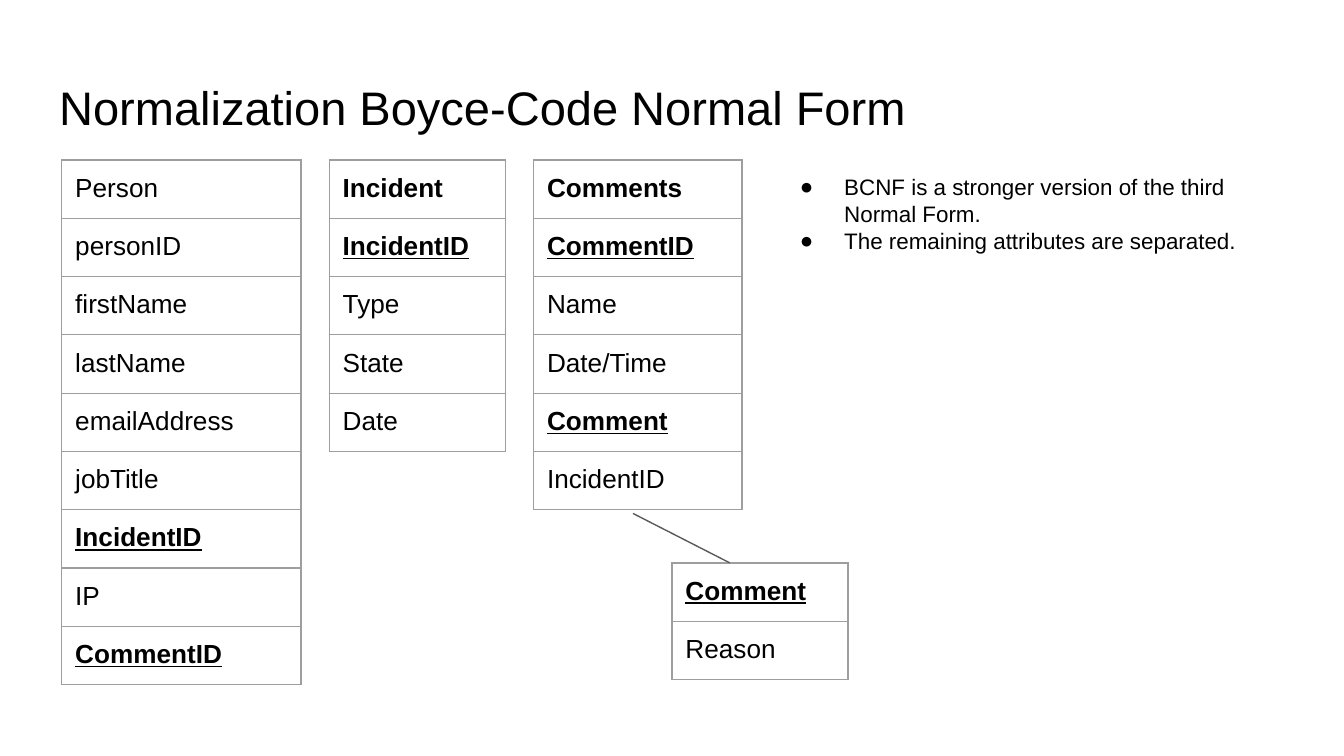
from lxml import etree
from pptx import Presentation
from pptx.dml.color import RGBColor
from pptx.enum.shapes import MSO_CONNECTOR
from pptx.enum.text import MSO_ANCHOR
from pptx.oxml.ns import qn
from pptx.util import Inches, Pt

STRAIGHT = MSO_CONNECTOR.STRAIGHT
TOP = MSO_ANCHOR.TOP
BLACK = RGBColor(0x00, 0x00, 0x00)
BORDER_GRAY = RGBColor(0x9E, 0x9E, 0x9E)
LINK_GRAY = RGBColor(0x59, 0x59, 0x59)
HAIRLINE = Pt(0.75)
INSET = Inches(0.1)

# Widescreen slide, 16:9
deck = Presentation()
deck.slide_width = Inches(10)
deck.slide_height = deck.slide_width * 9 // 16
slide = deck.slides.add_slide(deck.slide_layouts[6])

# Grid: 100 columns across, 13 table rows down
COL = deck.slide_width / 100
ROW = deck.slide_height / 13

FRAME = {"word_wrap": True, "vertical_anchor": TOP, "margin_left": INSET,
         "margin_right": INSET, "margin_top": INSET, "margin_bottom": INSET}


def at(*grid_units):
    """Turn alternating column and row counts into lengths."""
    return [round(n * (ROW if i % 2 else COL)) for i, n in enumerate(grid_units)]


def write(paragraph, text, size, **style):
    run = paragraph.add_run()
    run.text = text
    run.font.color.rgb = BLACK
    for name, value in {"name": "Arial", "size": Pt(size), **style}.items():
        setattr(run.font, name, value)


# Title and remarks on BCNF
TITLE = ["Normalization Boyce-Code Normal Form"]
REMARKS = ["BCNF is a stronger version of the third Normal Form.",
           "The remaining attributes are separated."]
for place, lines, size, bulleted in [
    ((3.41, 1.12, 93.2, 1.46), TITLE, 25.2, False),
    ((56.83, 2.75, 39.8, 4.23), REMARKS, 12, True),
]:
    frame = slide.shapes.add_textbox(*at(*place)).text_frame
    for name, value in FRAME.items():
        setattr(frame, name, value)
    for i, line in enumerate(lines):
        paragraph = frame.add_paragraph() if i else frame.paragraphs[0]
        write(paragraph, line, size)
        if bulleted:
            props = paragraph._p.get_or_add_pPr()
            props.set("marL", str(Inches(0.5)))
            props.set("indent", str(-Inches(0.33)))
            color = etree.SubElement(props, qn("a:buClr"))
            etree.SubElement(color, qn("a:srgbClr"), val=str(BLACK))
            etree.SubElement(props, qn("a:buFont"), typeface="Arial")
            etree.SubElement(props, qn("a:buChar"), char="●")

# Relations: left, top, width in grid units; "*" marks bold, "_" a bold key
RELATIONS = [
    (4.6, 2.75, 17.8, ["Person", "personID", "firstName", "lastName", "emailAddress",
                       "jobTitle", "_IncidentID", "IP", "_CommentID"]),
    (24.5, 2.75, 13.1, ["*Incident", "_IncidentID", "Type", "State", "Date"]),
    (39.7, 2.75, 15.5, ["*Comments", "_CommentID", "Name", "Date/Time",
                        "_Comment", "IncidentID"]),
    (50, 9.68, 13.1, ["_Comment", "Reason"]),
]
CELL = {name: value for name, value in FRAME.items() if name != "word_wrap"}
for left, top, width, attributes in RELATIONS:
    count = len(attributes)
    relation = slide.shapes.add_table(count, 1, *at(left, top, width, count)).table
    relation.first_row = relation.horz_banding = False
    for i, attribute in enumerate(attributes):
        relation.rows[i].height = round(ROW)
        cell = relation.cell(i, 0)
        for name, value in CELL.items():
            setattr(cell, name, value)
        write(cell.text_frame.paragraphs[0], attribute.lstrip("*_"), 14,
              bold=attribute[0] in "*_", underline=attribute[0] == "_")
        cell_props = cell._tc.get_or_add_tcPr()
        for side in ("a:lnL", "a:lnR", "a:lnT", "a:lnB"):
            edge = etree.SubElement(cell_props, qn(side), w=str(HAIRLINE))
            fill = etree.SubElement(edge, qn("a:solidFill"))
            etree.SubElement(fill, qn("a:srgbClr"), val=str(BORDER_GRAY))
        cell.fill.background()

# Link from Comments to its separated Comment relation
link = slide.shapes.add_connector(STRAIGHT, *at(47.1, 8.83, 54.3, 9.68))
link.line.color.rgb = LINK_GRAY
link.line.width = HAIRLINE
etree.SubElement(link._element.spPr, qn("a:effectLst"))

deck.save("out.pptx")
